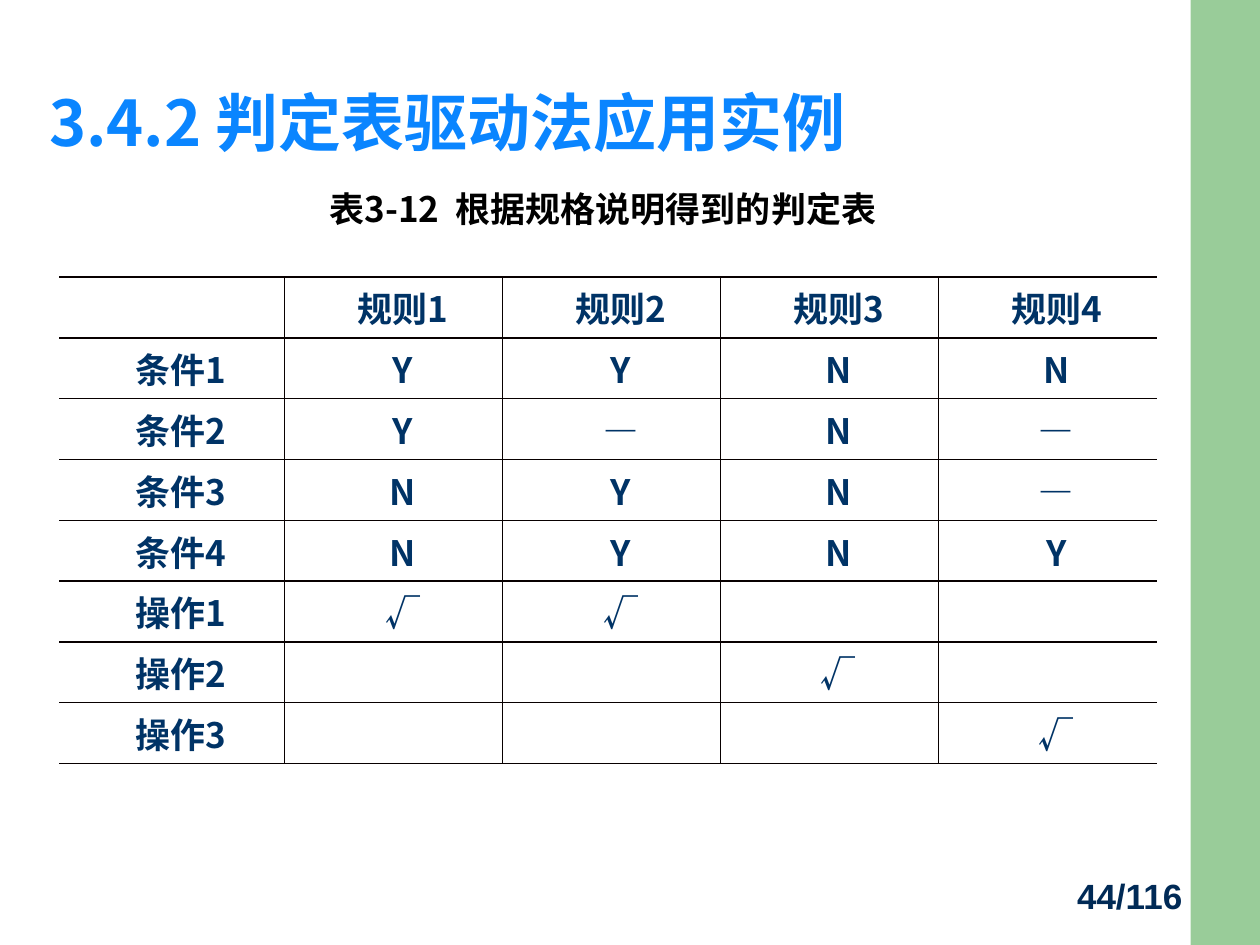
from lxml import etree
from pptx import Presentation
from pptx import util as u
from pptx.dml.color import RGBColor
from pptx.enum import shapes, text
from pptx.oxml.ns import qn

CJK = "Noto Sans CJK SC"
TITLE = "3.4.2 判定表驱动法应用实例"
CAPTION = "表3-12  根据规格说明得到的判定表"
PAGE_NUMBER = "44/116"
ROWS = [
    ("", "规则1", "规则2", "规则3", "规则4"),
    ("条件1", "Y", "Y", "N", "N"),
    ("条件2", "Y", "―", "N", "―"),
    ("条件3", "N", "Y", "N", "―"),
    ("条件4", "N", "Y", "N", "Y"),
    ("操作1", "√", "√", "", ""),
    ("操作2", "", "", "√", ""),
    ("操作3", "", "", "", "√"),
]
WIDTHS = [1.79] + [1.73] * 4
ROW_HEIGHT = 0.4825


def color(value):
    return RGBColor.from_string(value)


def place(shape, left, top, width, height):
    shape.left, shape.top = u.Inches(left), u.Inches(top)
    shape.width, shape.height = u.Inches(width), u.Inches(height)


def write(frame, words, size=20, fill="003366", font=CJK, align=text.PP_ALIGN.LEFT,
          anchor=text.MSO_ANCHOR.TOP, spacing=1.0, indent=0):
    frame.word_wrap = True
    frame.vertical_anchor = anchor
    para = frame.paragraphs[0]
    para.alignment, para.line_spacing = align, spacing
    para.space_before = u.Pt(0)
    props = para._p.get_or_add_pPr()
    props.set("marL", "0")
    props.set("indent", str(u.Inches(indent)))
    etree.SubElement(props, qn("a:buNone"))
    span = para.add_run()
    span.text = words
    span.font.size, span.font.bold, span.font.name = u.Pt(size), True, font
    span.font.color.rgb = color(fill)
    etree.SubElement(span._r.get_or_add_rPr(), qn("a:ea"), typeface=font)


def draw_borders(cell, sides):
    props = cell._tc.get_or_add_tcPr()
    for side in ("L", "R", "T", "B"):
        width = u.Pt(1) if side in sides else 0
        line = etree.SubElement(props, qn("a:ln" + side), w=str(width))
        if width:
            fill = etree.SubElement(line, qn("a:solidFill"))
            etree.SubElement(fill, qn("a:srgbClr"), val="080000")
        else:
            etree.SubElement(line, qn("a:noFill"))
    cell.fill.background()


def add_decision_table(page):
    frame = page.shapes.add_table(
        len(ROWS), len(WIDTHS), u.Inches(0.47), u.Inches(2.2),
        u.Inches(sum(WIDTHS)), u.Inches(ROW_HEIGHT * len(ROWS)))
    table = frame.table
    table.first_row = table.horz_banding = False
    for column, width in zip(table.columns, WIDTHS):
        column.width = u.Inches(width)
    for r, row in enumerate(ROWS):
        table.rows[r].height = u.Inches(ROW_HEIGHT)
        for c, words in enumerate(row):
            cell = table.cell(r, c)
            cell.margin_left = cell.margin_right = u.Inches(0.07)
            cell.margin_top = cell.margin_bottom = 0
            cell.vertical_anchor = text.MSO_ANCHOR.MIDDLE
            if words:
                write(cell.text_frame, words, align=text.PP_ALIGN.CENTER,
                      anchor=None, indent=0.14)
            left = "L" if c > 0 else ""
            right = "R" if c < len(row) - 1 else ""
            draw_borders(cell, "TB" + left + right)


def main():
    deck = Presentation()
    deck.slide_width, deck.slide_height = u.Inches(10), u.Inches(7.5)
    page = deck.slides.add_slide(deck.slide_layouts[1])

    band = page.shapes.add_shape(shapes.MSO_SHAPE.RECTANGLE, u.Inches(9.45), 0,
                                 u.Inches(0.55), u.Inches(7.5))
    band.shadow.inherit = False
    band.fill.solid()
    band.fill.fore_color.rgb = color("99CC99")
    band.line.fill.background()

    title = page.shapes.title
    place(title, 0.29, 0.42, 8.62, 0.9)
    write(title.text_frame, TITLE, size=36, fill="0A85FF",
          anchor=text.MSO_ANCHOR.BOTTOM, spacing=0.9)

    body = page.placeholders[1]
    place(body, 0.29, 1.19, 8.79, 5.31)
    body.text_frame.margin_top = u.Inches(0.3)
    write(body.text_frame, CAPTION, fill="000000", align=text.PP_ALIGN.CENTER, indent=0.2)

    add_decision_table(page)

    number = page.shapes.add_textbox(0, 0, 0, 0)
    place(number, 8.45, 6.89, 1.33, 0.5)
    write(number.text_frame, PAGE_NUMBER, fill="002A56", font="Arial")

    deck.save("out.pptx")


if __name__ == "__main__":
    main()
